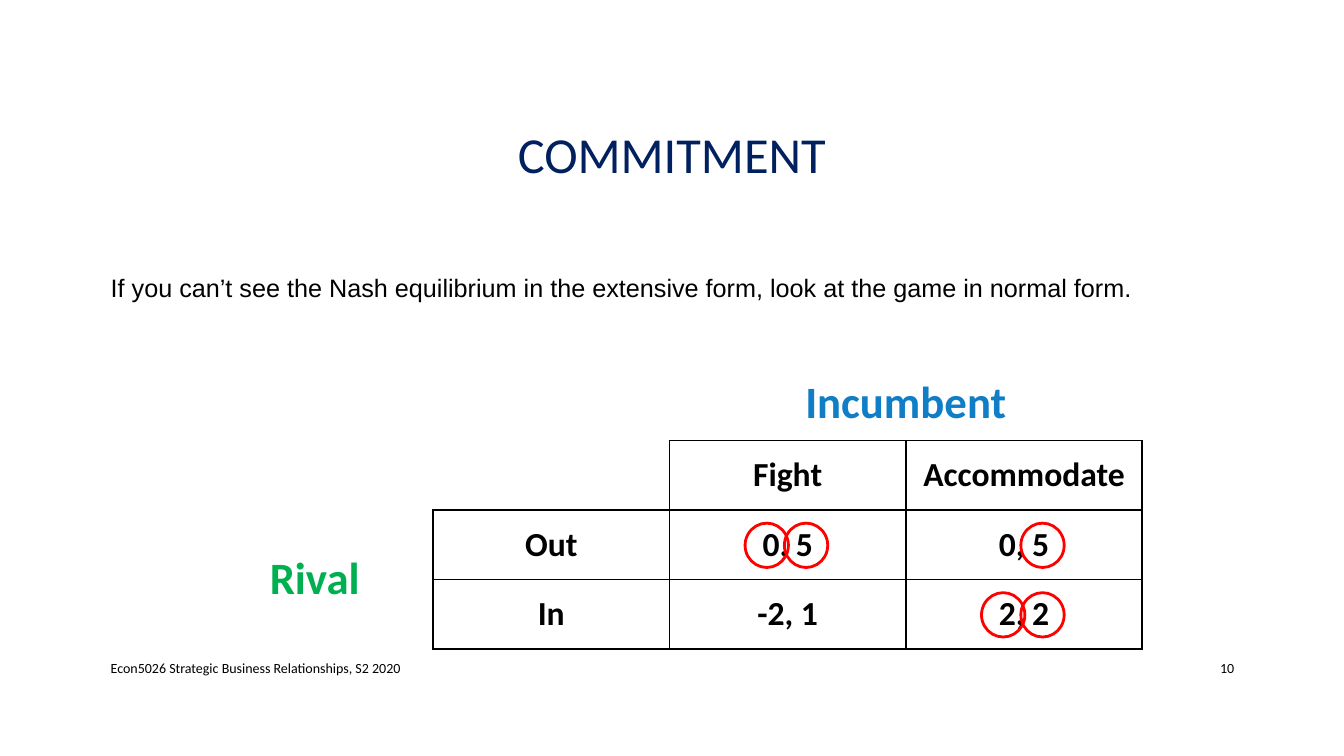
from dataclasses import dataclass

from lxml import etree
from pptx import Presentation
from pptx.dml.color import RGBColor
from pptx.enum.shapes import MSO_SHAPE
from pptx.enum.text import MSO_ANCHOR, PP_ALIGN
from pptx.oxml.ns import qn
from pptx.util import Inches, Pt

LEFT, CENTER, RIGHT = PP_ALIGN.LEFT, PP_ALIGN.CENTER, PP_ALIGN.RIGHT
TOP, MIDDLE = MSO_ANCHOR.TOP, MSO_ANCHOR.MIDDLE
OVAL = MSO_SHAPE.OVAL


@dataclass(frozen=True)
class Theme:
    heading_font: str = "Calibri"
    body_font: str = "Arial"
    navy: str = "002060"
    black: str = "000000"
    blue: str = "107EC6"
    green: str = "00B050"
    red: str = "FF0000"
    title_size: int = 36
    player_size: int = 32
    cell_size: int = 24
    body_size: int = 18
    footer_size: int = 10
    rule: float = 1.5
    heavy_rule: float = 2.25
    circle_rule: float = 2


THEME = Theme()
TABLE_LEFT, TABLE_TOP = 1.95, 3.68
COLUMN_WIDTH, ROW_HEIGHT = 2.345, 0.69
CIRCLE_WIDTH, CIRCLE_HEIGHT = 0.43, 0.44
STRATEGIES = [
    ["", "", "Fight", "Accommodate"],
    ["", "Out", "0, 5", "0, 5"],
    ["", "In", "-2, 1", "2, 2"],
]
BEST_REPLIES = [(2, 2, 0), (2, 2, 1), (2, 3, 1), (3, 3, 0), (3, 3, 1)]
EDGES = {"lnL": (0, -1), "lnR": (0, 1), "lnT": (-1, 0), "lnB": (1, 0)}


def style_paragraph(para, size, color, align, font=THEME.heading_font, bold=False):
    para.alignment = align
    para.font.name = font
    para.font.size = Pt(size)
    para.font.bold = bold
    para.font.color.rgb = RGBColor.from_string(color)


def add_text(page, frame, text, size, color, align=LEFT, anchor=MIDDLE,
             font=THEME.heading_font, line_spacing=1.0):
    box = page.shapes.add_textbox(*map(Inches, frame)).text_frame
    box.word_wrap = True
    box.vertical_anchor = anchor
    para = box.paragraphs[0]
    para.text = text
    para.line_spacing = line_spacing
    style_paragraph(para, size, color, align, font)


def is_framed(row, column):
    return 1 <= row <= 3 and 1 <= column <= 3 and row + column >= 3


def draw_borders(cell, row, column):
    properties = cell._tc.get_or_add_tcPr()
    for tag, (down, across) in EDGES.items():
        line = etree.SubElement(properties, qn(f"a:{tag}"))
        if is_framed(row, column) or is_framed(row + down, column + across):
            under_header = {row, row + down} == {1, 2}
            weight = THEME.heavy_rule if under_header else THEME.rule
            line.set("w", str(Pt(weight)))
            fill = etree.SubElement(line, qn("a:solidFill"))
            etree.SubElement(fill, qn("a:srgbClr"), val=THEME.black)
        else:
            etree.SubElement(line, qn("a:noFill"))


def write_cell(cell, text, size, color, anchor=MIDDLE):
    cell.vertical_anchor = anchor
    para = cell.text_frame.paragraphs[0]
    para.text = text
    style_paragraph(para, size, color, CENTER, bold=True)


def add_payoff_table(page):
    frame = page.shapes.add_table(
        4, 4, Inches(TABLE_LEFT), Inches(TABLE_TOP),
        Inches(4 * COLUMN_WIDTH), Inches(4 * ROW_HEIGHT))
    table = frame.table
    table.first_row = table.horz_banding = False
    for column in table.columns:
        column.width = Inches(COLUMN_WIDTH)
    for row in table.rows:
        row.height = Inches(ROW_HEIGHT)
    for row in range(4):
        for column in range(4):
            cell = table.cell(row, column)
            draw_borders(cell, row, column)
            cell.fill.background()
    table.cell(0, 2).merge(table.cell(0, 3))
    table.cell(2, 0).merge(table.cell(3, 0))
    write_cell(table.cell(0, 2), "Incumbent", THEME.player_size, THEME.blue, TOP)
    write_cell(table.cell(2, 0), "Rival", THEME.player_size, THEME.green)
    for row, labels in enumerate(STRATEGIES, start=1):
        for column, label in enumerate(labels):
            if label:
                write_cell(table.cell(row, column), label, THEME.cell_size, THEME.black)


def add_best_reply(page, row, column, player):
    left = TABLE_LEFT + column * COLUMN_WIDTH + 0.75 + 0.39 * player
    top = TABLE_TOP + row * ROW_HEIGHT + 0.13
    circle = page.shapes.add_shape(
        OVAL, Inches(left), Inches(top), Inches(CIRCLE_WIDTH), Inches(CIRCLE_HEIGHT))
    circle.shadow.inherit = False
    circle.fill.background()
    circle.line.color.rgb = RGBColor.from_string(THEME.red)
    circle.line.width = Pt(THEME.circle_rule)


def main():
    deck = Presentation()
    deck.slide_width, deck.slide_height = Inches(13.33), Inches(7.5)
    page = deck.slides.add_slide(deck.slide_layouts[6])
    add_text(page, (1, 0.68, 11.33, 1.75), "COMMITMENT",
             THEME.title_size, THEME.navy, CENTER, line_spacing=0.9)
    add_text(page, (1, 2.59, 11.33, 3.74),
             "If you can’t see the Nash equilibrium in the extensive form, "
             "look at the game in normal form.",
             THEME.body_size, THEME.black, anchor=TOP, font=THEME.body_font,
             line_spacing=1.2)
    add_text(page, (1, 6.43, 7.3, 0.4),
             "Econ5026 Strategic Business Relationships, S2 2020",
             THEME.footer_size, THEME.black)
    add_text(page, (11.5, 6.43, 0.84, 0.4), "10",
             THEME.footer_size, THEME.black, RIGHT)
    add_payoff_table(page)
    for row, column, player in BEST_REPLIES:
        add_best_reply(page, row, column, player)
    deck.save("out.pptx")


if __name__ == "__main__":
    main()
